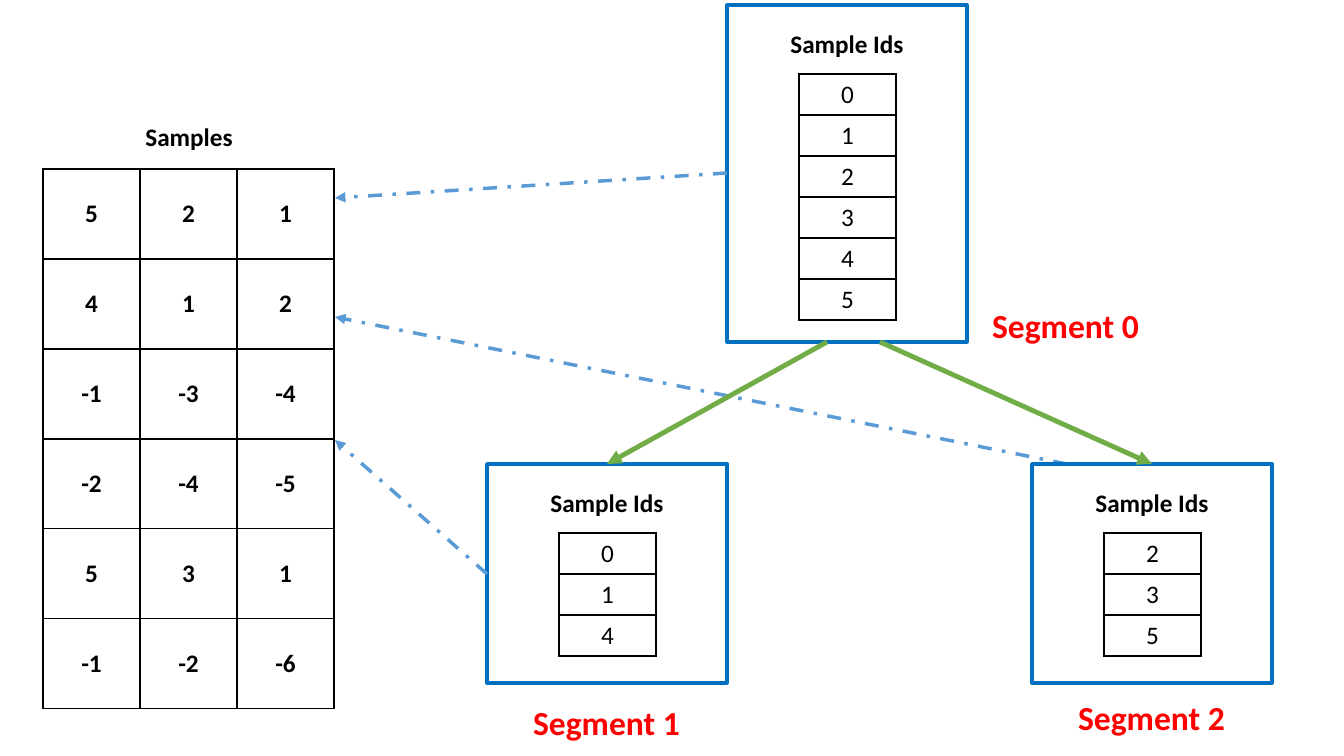
from lxml import etree
from pptx import Presentation
from pptx.dml.color import RGBColor
from pptx.enum.dml import MSO_LINE
from pptx.enum.shapes import MSO_CONNECTOR, MSO_SHAPE
from pptx.enum.text import MSO_ANCHOR, PP_ALIGN
from pptx.oxml import parse_xml
from pptx.oxml.ns import nsdecls, qn
from pptx.util import Pt

EMU_PER_PIXEL = 914400 / 100.8
FONT = "Calibri"
BLACK = RGBColor(0x00, 0x00, 0x00)
WHITE = RGBColor(0xFF, 0xFF, 0xFF)
RED = RGBColor(0xFF, 0x00, 0x00)
BOX_BLUE = RGBColor(0x00, 0x70, 0xC0)
LINK_BLUE = RGBColor(0x5B, 0x9B, 0xD5)
GREEN = RGBColor(0x70, 0xAD, 0x47)

ID_WIDTH, ID_HEIGHT = 97, 41
BOX_WIDTH = 240


def px(*lengths):
    """Turn pixel lengths into EMU."""
    return [round(length * EMU_PER_PIXEL) for length in lengths]


def write(frame, text, size, color, bold):
    """Put one centred line of text in a text frame."""
    paragraph = frame.paragraphs[0]
    paragraph.alignment = PP_ALIGN.CENTER
    run = paragraph.add_run()
    run.text = text
    run.font.name, run.font.size, run.font.bold = FONT, Pt(size), bold
    run.font.color.rgb = color


def add_label(slide, box, text, size=18, color=BLACK):
    """Add a bold caption centred in the box."""
    frame = slide.shapes.add_textbox(*px(*box)).text_frame
    frame.word_wrap = False
    write(frame, text, size, color, True)


def add_grid(slide, left, top, rows, col_width, row_height, bold=False):
    """Add a table with equal cells and thin black borders."""
    size = (col_width * len(rows[0]), row_height * len(rows))
    table = slide.shapes.add_table(len(rows), len(rows[0]), *px(left, top, *size)).table
    table.first_row = table.horz_banding = False
    for column in table.columns:
        column.width = px(col_width)[0]
    for row, values in zip(table.rows, rows):
        row.height = px(row_height)[0]
        for cell, value in zip(row.cells, values):
            write(cell.text_frame, str(value), 18, BLACK, bold)
            cell.vertical_anchor = MSO_ANCHOR.MIDDLE
            properties = cell._tc.get_or_add_tcPr()
            for side in "LRTB":
                properties.append(parse_xml(
                    f'<a:ln{side} {nsdecls("a")} w="{Pt(1)}"><a:solidFill>'
                    f'<a:srgbClr val="{BLACK}"/></a:solidFill></a:ln{side}>'))
            cell.fill.solid()
            cell.fill.fore_color.rgb = WHITE


def add_arrow(slide, start, end, color, width, dash=None):
    """Add a straight arrow with a triangle at its end."""
    arrow = slide.shapes.add_connector(MSO_CONNECTOR.STRAIGHT, *px(*start, *end))
    arrow.line.color.rgb, arrow.line.width = color, Pt(width)
    if dash:
        arrow.line.dash_style = dash
    etree.SubElement(arrow.line._get_or_add_ln(), qn("a:tailEnd"), type="triangle")
    etree.SubElement(arrow._element.spPr, qn("a:effectLst"))


def add_samples(slide, left, top, rows):
    """Add the table of samples with its heading above."""
    add_label(slide, (left + 92, top - 53, 108, 40), "Samples")
    add_grid(slide, left, top, rows, 97, 90, bold=True)


def add_segment(slide, left, top, height, ids, name, name_at):
    """Add a segment box with its sample ids, and its name at an offset."""
    box = slide.shapes.add_shape(MSO_SHAPE.RECTANGLE, *px(left, top, BOX_WIDTH, height))
    box.shadow.inherit = False
    box.fill.solid()
    box.fill.fore_color.rgb = WHITE
    box.line.color.rgb, box.line.width = BOX_BLUE, Pt(2.5)
    add_label(slide, (left, top + 18, BOX_WIDTH, 40), "Sample Ids")
    add_grid(slide, left + 72, top + 69, [[i] for i in ids], ID_WIDTH, ID_HEIGHT)
    add_label(slide, (left + name_at[0], top + name_at[1], 169, 50), name, 24, RED)


def add_links(slide):
    """Add the dashed arrows from the segments to the samples."""
    for start, end in [((727, 173), (335, 198)),
                       ((487, 574), (335, 440)),
                       ((1067, 464), (335, 317))]:
        add_arrow(slide, start, end, LINK_BLUE, 2.5, MSO_LINE.DASH_DOT)


def add_split(slide):
    """Add the arrows from the parent segment to its two children."""
    for start, end in [((827, 342), (607, 464)), ((880, 342), (1152, 464))]:
        add_arrow(slide, start, end, GREEN, 3.5)


def main():
    """Build the slide and save it."""
    deck = Presentation()
    deck.slide_width, deck.slide_height = px(1344, 756)
    slide = deck.slides.add_slide(deck.slide_layouts[6])
    add_samples(slide, 43, 169, [(5, 2, 1), (4, 1, 2), (-1, -3, -4),
                                 (-2, -4, -5), (5, 3, 1), (-1, -2, -6)])
    add_segment(slide, 727, 5, 337, range(6), "Segment 0", (254, 295))
    add_segment(slide, 487, 464, 219, (0, 1, 4), "Segment 1", (35, 233))
    add_links(slide)
    add_segment(slide, 1032, 464, 219, (2, 3, 5), "Segment 2", (35, 228))
    add_split(slide)
    deck.save("out.pptx")


main()
